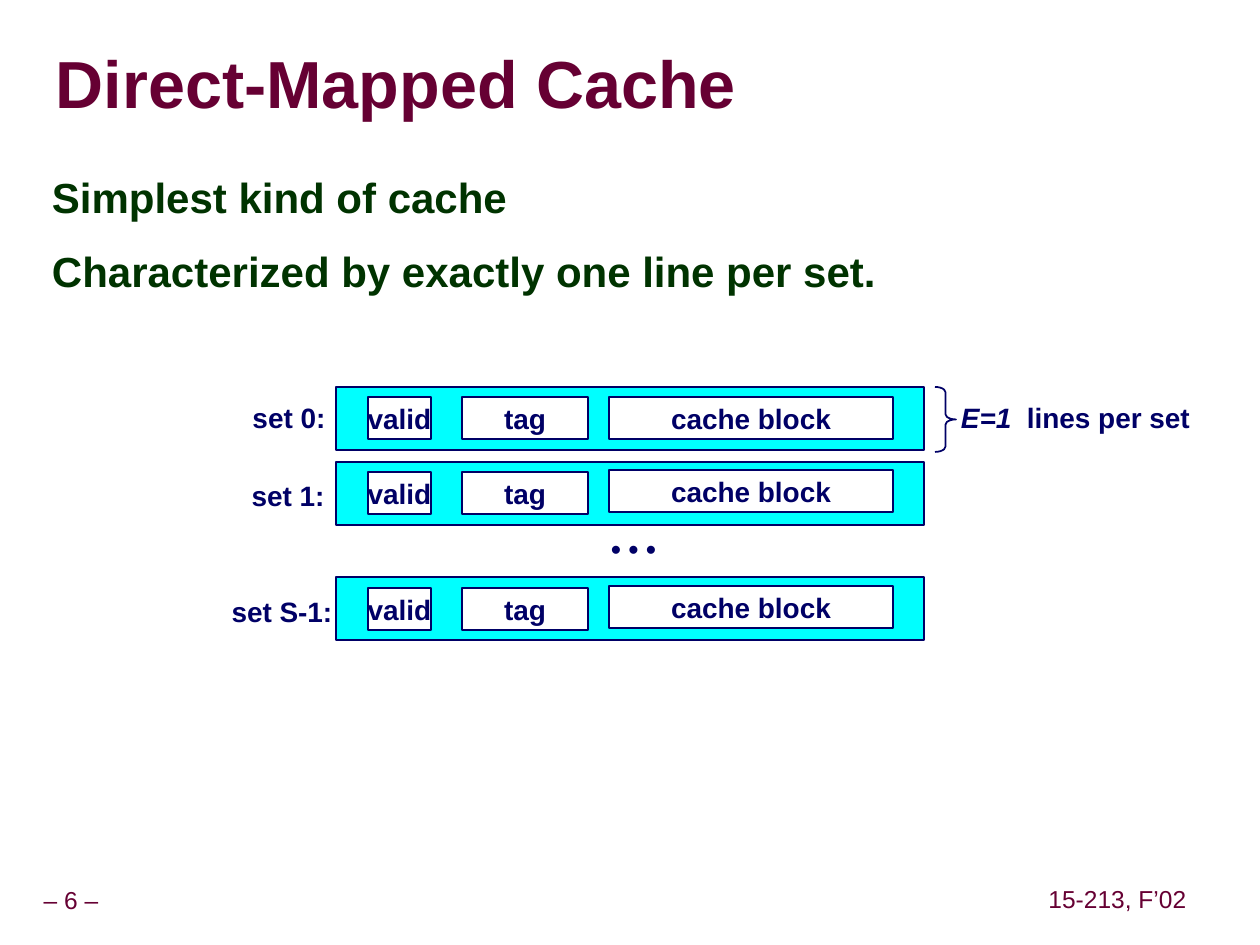
from dataclasses import dataclass

from lxml import etree
from pptx import Presentation
from pptx.dml.color import RGBColor
from pptx.enum.shapes import MSO_SHAPE
from pptx.enum.text import MSO_ANCHOR, PP_ALIGN
from pptx.oxml.ns import qn
from pptx.util import Emu, Pt

RECT, BRACE = MSO_SHAPE.RECTANGLE, MSO_SHAPE.RIGHT_BRACE
LEFT, CENTER = PP_ALIGN.LEFT, PP_ALIGN.CENTER
TOP, MIDDLE = MSO_ANCHOR.TOP, MSO_ANCHOR.MIDDLE


@dataclass(frozen=True)
class Theme:
    """Colours, type face and type sizes of the slide."""
    maroon: str = "660033"
    green: str = "003300"
    navy: str = "000066"
    cyan: str = "00FFFF"
    white: str = "FFFFFF"
    shadow: str = "999999"
    face: str = "Arial"
    title: int = 38
    body: int = 24
    label: int = 16
    footer: int = 14
    line: int = 1


THEME = Theme()
LABEL = {"size": THEME.label, "color": THEME.navy, "bold": True}
FOOTER = {"size": THEME.footer, "color": THEME.maroon, "bold": False}
TITLE = {"size": THEME.title, "color": THEME.maroon, "bold": True}
BODY = {"size": THEME.body, "color": THEME.green, "bold": True}


def px(length):
    """Turn whole pixels into EMU."""
    return Emu(length * 914400 // 126)


def apply(target, values):
    """Set each named attribute of the target."""
    for name, value in values.items():
        setattr(target, name, value)


def add_run(paragraph, text, style, italic=False, spacing=0):
    """Append a styled run to the paragraph."""
    run = paragraph.add_run()
    run.text = text
    apply(run.font, {"name": THEME.face, "size": Pt(style["size"]),
                     "bold": style["bold"], "italic": italic})
    run.font.color.rgb = RGBColor.from_string(style["color"])
    if spacing:
        run._r.get_or_add_rPr().set("spc", str(spacing))
    return run


def set_frame(shape, wrap=False, anchor=MIDDLE, inset=(12, 6)):
    """Set wrapping, anchor and margins of the text frame."""
    across, down = map(px, inset)
    frame = shape.text_frame
    apply(frame, {"word_wrap": wrap, "vertical_anchor": anchor,
                  "margin_left": across, "margin_right": across,
                  "margin_top": down, "margin_bottom": down})
    return frame


def add_text(slide, box, text, style, align=CENTER, spacing=1.0, **frame_format):
    """Add a text box and return its first paragraph."""
    frame = set_frame(slide.shapes.add_textbox(*map(px, box)), **frame_format)
    paragraph = frame.paragraphs[0]
    apply(paragraph, {"alignment": align, "line_spacing": spacing})
    add_run(paragraph, text, style)
    return paragraph


def add_outlined(slide, kind, box, fill=None):
    """Add a preset shape with a navy outline."""
    shape = slide.shapes.add_shape(kind, *map(px, box))
    shape.shadow.inherit = False
    shape.line.color.rgb = RGBColor.from_string(THEME.navy)
    shape.line.width = Pt(THEME.line)
    if fill:
        shape.fill.solid()
        shape.fill.fore_color.rgb = RGBColor.from_string(fill)
    else:
        shape.fill.background()
    return shape


def add_field(slide, box, text):
    """Add a white cache-line field with its name."""
    field = add_outlined(slide, RECT, box, THEME.white)
    paragraph = set_frame(field).paragraphs[0]
    paragraph.alignment = CENTER
    add_run(paragraph, text, LABEL)


def add_text_shadow(run):
    """Give the run a grey drop shadow."""
    effects = etree.Element(qn("a:effectLst"))
    shadow = etree.SubElement(effects, qn("a:outerShdw"),
                              dist="53882", dir="2700000", algn="ctr")
    etree.SubElement(shadow, qn("a:srgbClr"), val=THEME.shadow)
    run._r.get_or_add_rPr().find(qn("a:solidFill")).addnext(effects)


def add_heading(slide):
    """Add the title and the two statements."""
    title = add_text(slide, (56, 34, 1200, 107), "Direct-Mapped Cache", TITLE,
                     LEFT, 0.87, wrap=True, inset=(0, 0))
    add_text_shadow(title.runs[0])
    first = add_text(slide, (40, 169, 1145, 719), "Simplest kind of cache", BODY,
                     LEFT, 0.95, wrap=True, anchor=TOP)
    second = set_second = slide.shapes[-1].text_frame.add_paragraph()
    apply(second, {"alignment": LEFT, "line_spacing": 0.95})
    add_run(set_second, "Characterized by exactly one line per set.", BODY)
    for statement in (first, second):
        statement.space_before = Pt(15)


def add_cache_sets(slide):
    """Add each set with its label, band and fields."""
    sets = (("set 0:", 387, (240, 394, 98, 47), 397, 397),
            ("set 1:", 462, (239, 472, 98, 47), 472, 470),
            ("set S-1:", 577, (219, 588, 126, 47), 588, 586))
    for name, band_top, label_box, field_top, block_top in sets:
        add_outlined(slide, RECT, (336, band_top, 588, 63), THEME.cyan)
        for text, left, width, top in (("valid", 368, 63, field_top),
                                       ("tag", 462, 126, field_top),
                                       ("cache block", 609, 284, block_top)):
            add_field(slide, (left, top, width, 42), text)
        add_text(slide, label_box, name, LABEL)


def add_annotations(slide):
    """Add the ellipsis and the bracketed line count."""
    add_text(slide, (599, 525, 69, 47), "• • •", LABEL)
    brace = add_outlined(slide, BRACE, (935, 387, 21, 65))
    brace.adjustments[0] = 0.25
    count = add_text(slide, (949, 394, 253, 47), "E=1", LABEL)
    count.runs[0].font.italic = True
    add_run(count, " ", LABEL, spacing=445)
    add_run(count, "lines per set", LABEL)


def main():
    """Build and save the slide."""
    deck = Presentation()
    apply(deck, {"slide_width": px(1260), "slide_height": px(945)})
    slide = deck.slides.add_slide(deck.slide_layouts[6])
    for text, box in (("– 6 –", (0, 882, 142, 39)),
                      ("15-213, F’02", (1042, 881, 151, 39))):
        add_text(slide, box, text, FOOTER, spacing=0.9, inset=(6, 6))
    add_heading(slide)
    add_cache_sets(slide)
    add_annotations(slide)
    deck.save("out.pptx")


if __name__ == "__main__":
    main()
